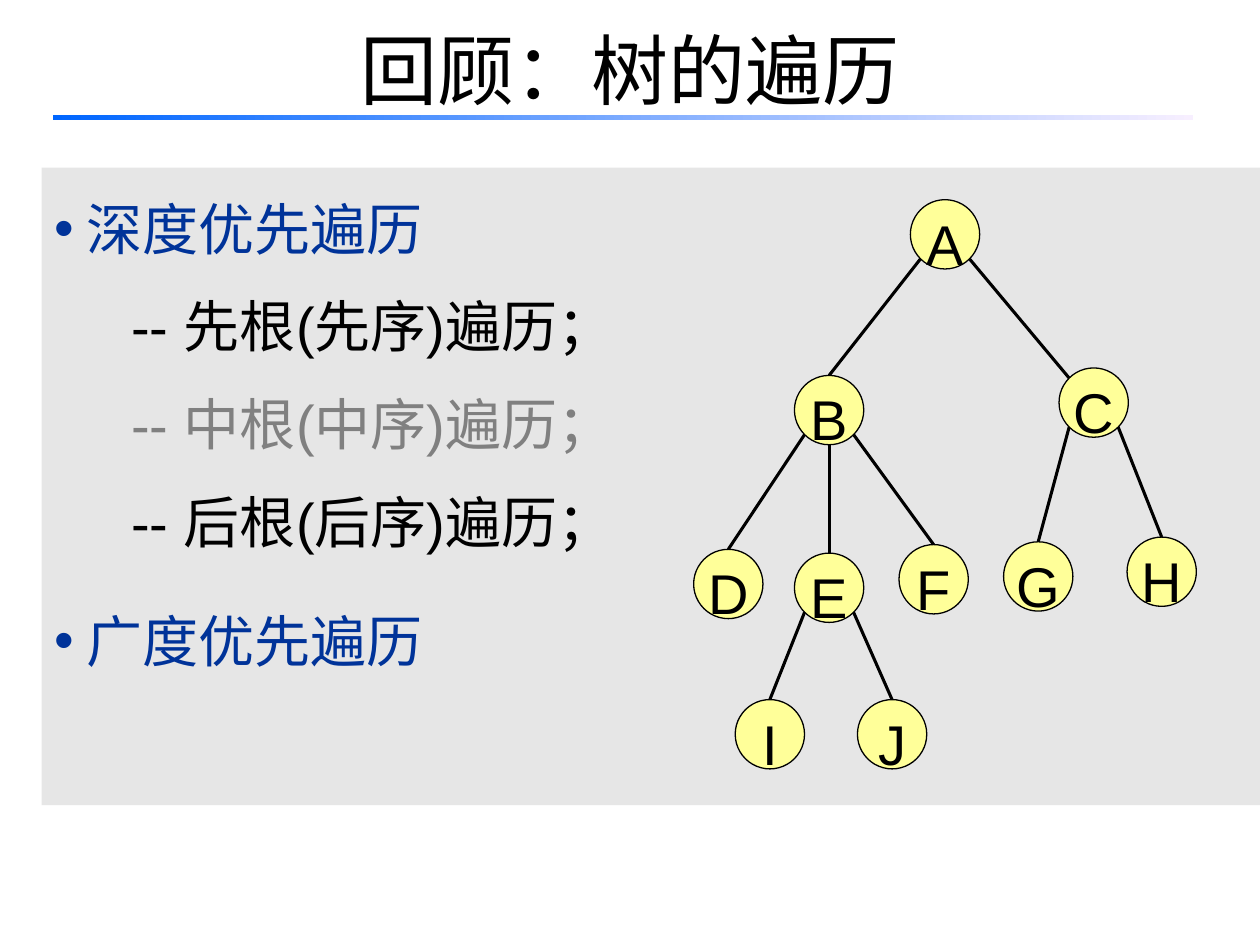
from lxml.etree import SubElement
from pptx import Presentation
from pptx.dml.color import RGBColor
from pptx.enum.shapes import MSO_CONNECTOR as Connector, MSO_SHAPE as Shape
from pptx.enum.text import MSO_ANCHOR as Anchor, MSO_AUTO_SIZE as AutoSize, PP_ALIGN as Align
from pptx.oxml.ns import qn
from pptx.util import Inches, Pt

WIDTH, HEIGHT = Inches(10), Inches(7.5)
LATIN, CHINESE = "Arial", "Noto Sans CJK SC"
BLACK, GREY, BLUE = "000000", "808080", "003399"
DIAMETER = Inches(0.55)
DIAGONAL = 0.5 ** 0.5

# Node centres, in percent of the slide's width and height
NODES = {
    "A": (75, 24.8),
    "B": (65.8, 43.4), "C": (86.8, 42.6),
    "D": (57.8, 61.8), "E": (65.8, 62.2), "F": (74.1, 61.3),
    "G": (82.4, 61), "H": (92.2, 60.5),
    "I": (61.1, 77.7), "J": (70.8, 77.7),
}

# Points on a node's rim, in radii from its centre
TOP, BOTTOM = (0, -1), (0, 1)
TOP_LEFT = (-DIAGONAL, -DIAGONAL)
LOWER_LEFT, LOWER_RIGHT = (-DIAGONAL, DIAGONAL), (DIAGONAL, DIAGONAL)

# Parent, its rim point, child, its rim point
EDGES = [
    ("A", LOWER_LEFT, "B", TOP), ("A", LOWER_RIGHT, "C", TOP_LEFT),
    ("B", LOWER_LEFT, "D", TOP), ("B", BOTTOM, "E", TOP),
    ("B", LOWER_RIGHT, "F", TOP),
    ("C", LOWER_LEFT, "G", TOP), ("C", LOWER_RIGHT, "H", TOP),
    ("E", LOWER_LEFT, "I", TOP), ("E", LOWER_RIGHT, "J", TOP),
]

# Text, colour, has a bullet, space before
TRAVERSALS = [
    ("深度优先遍历", BLUE, True, 0),
    ("-- 先根(先序)遍历；", BLACK, False, 6),
    ("-- 中根(中序)遍历；", GREY, False, 6),
    ("-- 后根(后序)遍历；", BLACK, False, 6),
    ("广度优先遍历", BLUE, True, 18),
]


def color(hex_string):
    return RGBColor.from_string(hex_string)


def position(x, y):
    """Turn percents of the slide into lengths."""
    return round(WIDTH * x / 100), round(HEIGHT * y / 100)


def place(shape, x, y, width, height):
    shape.left, shape.top = position(x, y)
    shape.width, shape.height = position(width, height)


def add_run(paragraph, text, size, hex_string, latin=LATIN):
    run = paragraph.add_run()
    run.text = text
    run.font.size = Pt(size)
    run.font.name = latin
    run.font.color.rgb = color(hex_string)
    SubElement(run.font._element, qn("a:ea"), typeface=CHINESE)


def set_bullet(paragraph, has_bullet):
    properties = paragraph._p.get_or_add_pPr()
    margin, indent = (0.26, -0.26) if has_bullet else (0.61, 0)
    properties.set("marL", str(Inches(margin)))
    properties.set("indent", str(Inches(indent)))
    if has_bullet:
        SubElement(properties, qn("a:buFont"), typeface=LATIN)
        SubElement(properties, qn("a:buChar"), char="•")
    else:
        SubElement(properties, qn("a:buNone"))


def fill_title(title):
    place(title, 5, -1.07, 90, 16.67)
    frame = title.text_frame
    frame.auto_size = AutoSize.NONE
    frame.vertical_anchor = Anchor.MIDDLE
    paragraph = frame.paragraphs[0]
    paragraph.alignment = Align.CENTER
    add_run(paragraph, "回顾：树的遍历", 44, BLACK, CHINESE)


def fill_list(body):
    place(body, 3.3, 17.73, 96.7, 67.47)
    body.fill.solid()
    body.fill.fore_color.rgb = color("E6E6E6")
    frame = body.text_frame
    frame.auto_size = AutoSize.NONE
    frame.vertical_anchor = Anchor.TOP
    for index, (text, text_color, has_bullet, space) in enumerate(TRAVERSALS):
        paragraph = frame.add_paragraph() if index else frame.paragraphs[0]
        set_bullet(paragraph, has_bullet)
        paragraph.alignment = Align.LEFT
        paragraph.line_spacing = 1.3
        paragraph.space_before = Pt(space)
        add_run(paragraph, text, 32, text_color)


def add_title_rule(slide):
    rule = slide.shapes.add_shape(
        Shape.RECTANGLE, *position(4.2, 12.13), *position(90.5, 0.53))
    rule.shadow.inherit = False
    rule.line.fill.background()
    rule.fill.gradient()
    rule.fill.gradient_angle = 0
    for stop, hex_string in zip(rule.fill.gradient_stops, ("0066FF", "F7EFFF")):
        stop.color.rgb = color(hex_string)


def rim_point(name, direction):
    return [round(centre + DIAMETER / 2 * share)
            for centre, share in zip(position(*NODES[name]), direction)]


def add_edge(slide, parent, start, child, end):
    edge = slide.shapes.add_connector(
        Connector.STRAIGHT, *rim_point(parent, start), *rim_point(child, end))
    edge.line.color.rgb = color(BLACK)
    edge.line.width = Pt(1.75)
    SubElement(edge._element.spPr, qn("a:effectLst"))


def add_node(slide, name):
    node = slide.shapes.add_shape(
        Shape.OVAL, *rim_point(name, (-1, -1)), DIAMETER, DIAMETER)
    node.shadow.inherit = False
    node.fill.solid()
    node.fill.fore_color.rgb = color("FFFF99")
    node.line.color.rgb = color(BLACK)
    node.line.width = Pt(0.75)
    frame = node.text_frame
    frame.word_wrap = False
    frame.vertical_anchor = Anchor.MIDDLE
    paragraph = frame.paragraphs[0]
    paragraph.alignment = Align.CENTER
    paragraph.line_spacing = 1.25
    add_run(paragraph, name, 32, BLACK)


def main():
    presentation = Presentation()
    presentation.slide_width, presentation.slide_height = WIDTH, HEIGHT
    slide = presentation.slides.add_slide(presentation.slide_layouts[1])

    # Title and list
    fill_title(slide.shapes.title)
    fill_list(slide.placeholders[1])
    add_title_rule(slide)

    # Tree
    for edge in EDGES:
        add_edge(slide, *edge)
    for name in NODES:
        add_node(slide, name)

    presentation.save("out.pptx")


if __name__ == "__main__":
    main()
